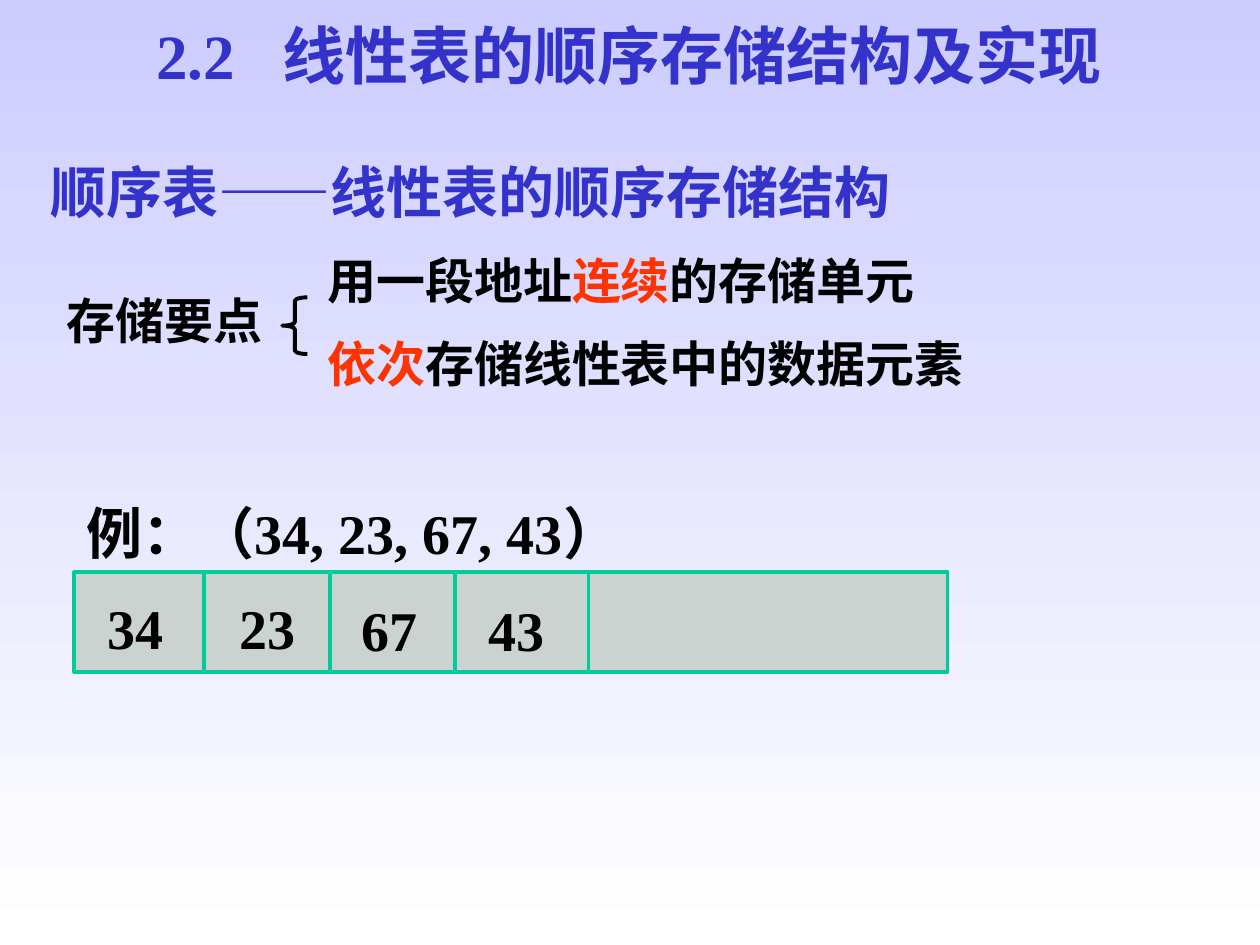
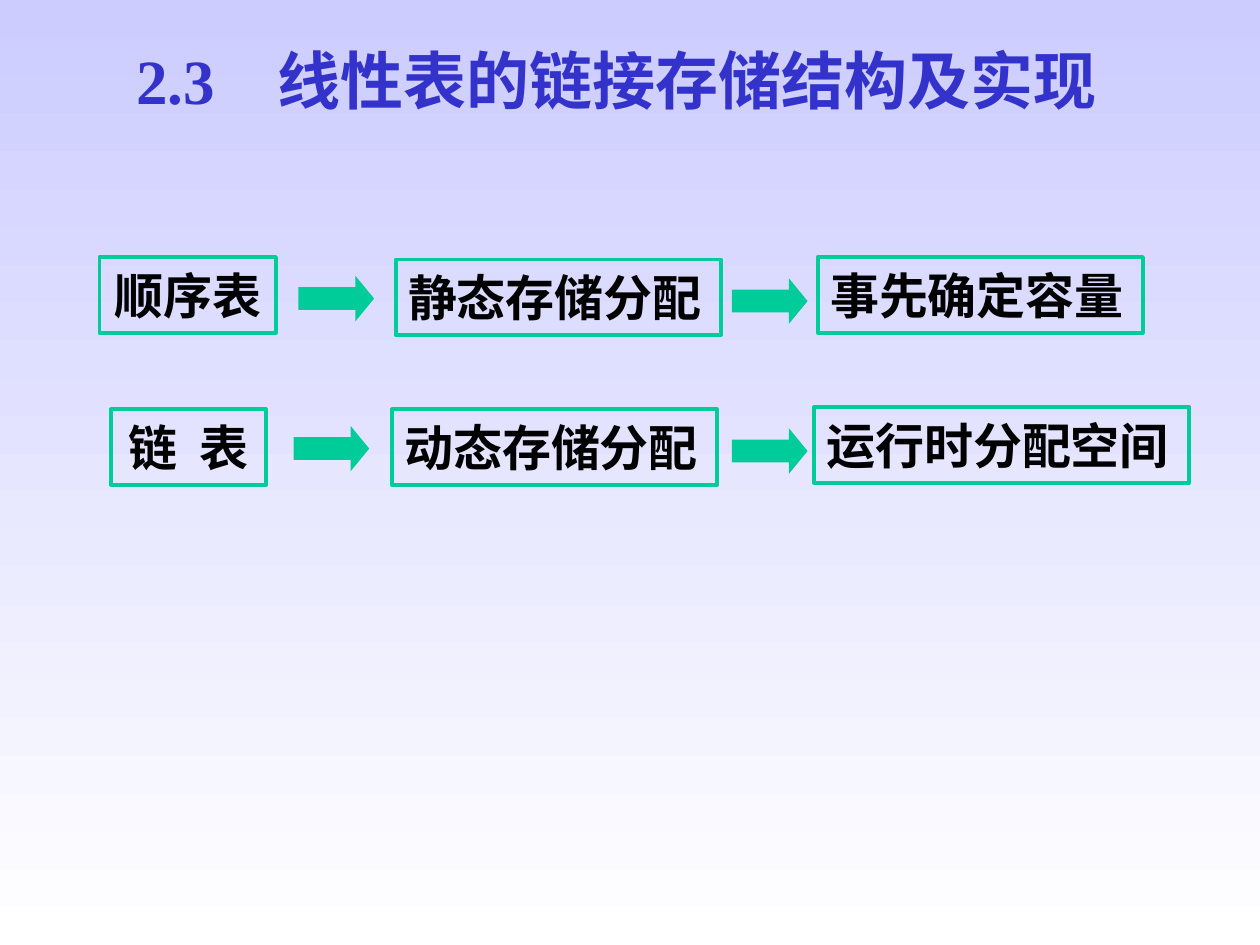
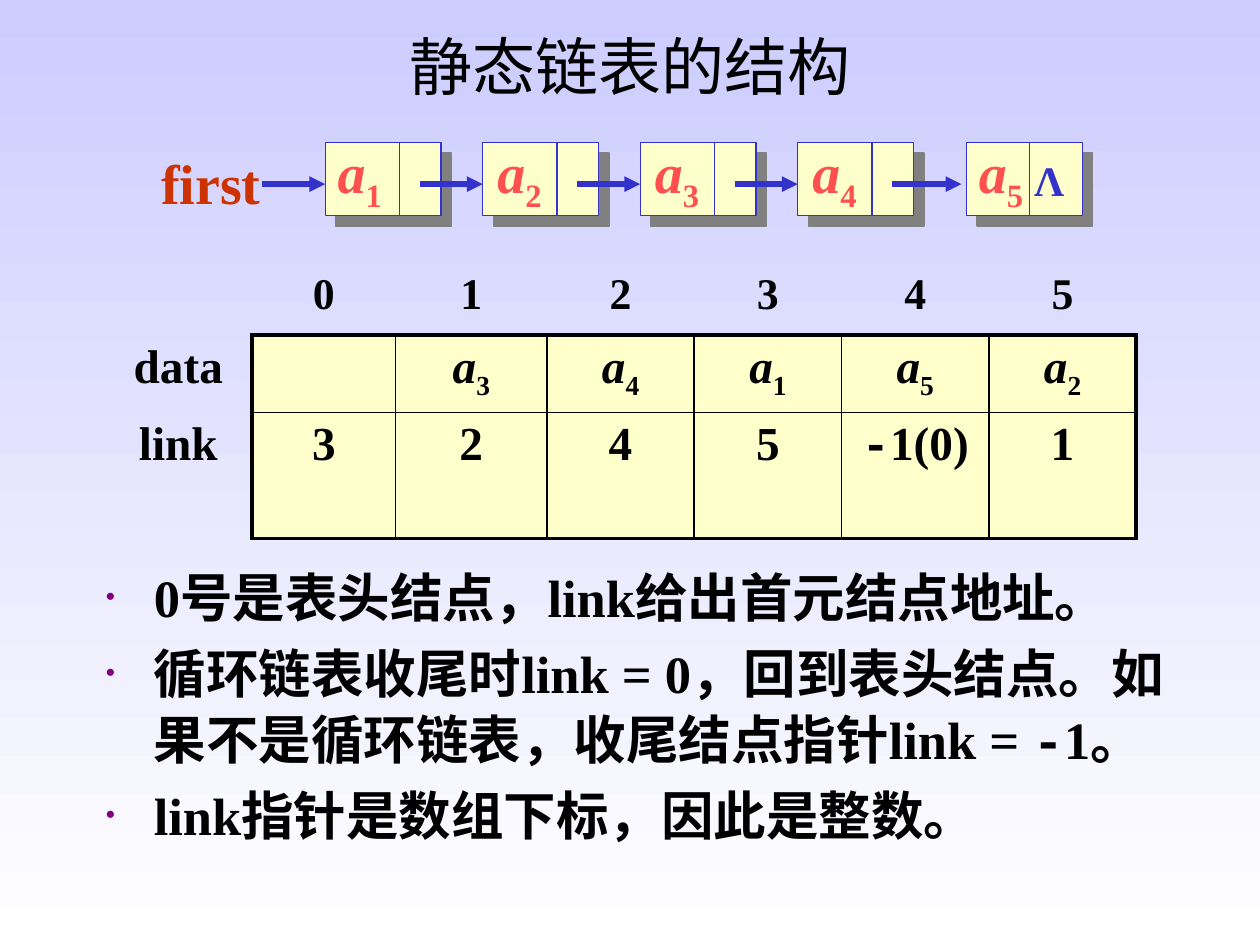
from collections import namedtuple

from lxml.etree import SubElement
from pptx import Presentation
from pptx.dml.color import RGBColor
from pptx.enum.shapes import MSO_CONNECTOR, MSO_SHAPE
from pptx.enum.text import MSO_ANCHOR, MSO_AUTO_SIZE, PP_ALIGN
from pptx.oxml.ns import qn
from pptx.util import Pt

LAVENDER = RGBColor(0xCC, 0xCC, 0xFF)
WHITE = RGBColor(0xFF, 0xFF, 0xFF)
BLACK = RGBColor(0, 0, 0)
BLUE = RGBColor(0x33, 0x33, 0xCC)
GREEN = RGBColor(0x00, 0xCC, 0x99)
GRAY = RGBColor(0xCB, 0xD3, 0xD1)
SHADOW_GRAY = RGBColor(0x80, 0x80, 0x80)
CREAM = RGBColor(0xFF, 0xFF, 0xCC)
ORANGE = RGBColor(0xFF, 0x33, 0x00)
BRICK = RGBColor(0xCC, 0x33, 0x00)
CORAL = RGBColor(0xFF, 0x50, 0x50)
PURPLE = RGBColor(0x80, 0x00, 0x80)

SERIF, SANS, CHINESE, MONO = "Times New Roman", "Arial", "Noto Sans CJK SC", "Courier New"
HEADING = {"name": SERIF, "size": Pt(36), "bold": True, "color": BLUE}
LARGE = {"name": SERIF, "size": Pt(32), "bold": True, "color": BLACK}
POINT = {"name": SANS, "size": Pt(28), "bold": True, "color": BLACK}
INDEX = {"name": SERIF, "size": Pt(25), "bold": True, "color": BLACK}
ENTRY = {**INDEX, "size": Pt(27)}
BULLET = {**INDEX, "size": Pt(30)}
SUBSCRIPT = {"italic": False, "baseline": -25000}

Box = namedtuple("Box", "left top width height")


def place(box):
    return [Pt(length) for length in box]


def add_xml(parent, tag, **attributes):
    return SubElement(parent, qn(tag), {key: str(value) for key, value in attributes.items()})


def write_spans(para, spans, base):
    """Add (text, changes) spans to a paragraph, each formatted as base plus changes."""
    for text, changes in spans:
        span = para.add_run()
        span.text = text
        properties = span._r.get_or_add_rPr()
        for key, value in {**base, **changes}.items():
            if key == "color":
                span.font.color.rgb = value
            elif key in ("baseline", "spc"):
                properties.set(key, str(value))
            else:
                setattr(span.font, key, value)
        add_xml(properties, "a:ea", typeface=CHINESE)


def subscripted(letter, number):
    return [(letter, {"italic": True}), (number, SUBSCRIPT)]


def add_text(page, box, paragraphs, base, wrap=True, gap=0, side_inset=7.2):
    frame = page.shapes.add_textbox(*place(box)).text_frame
    frame.word_wrap = wrap
    frame.margin_left = frame.margin_right = Pt(side_inset)
    for number, spans in enumerate(paragraphs):
        para = frame.add_paragraph() if number else frame.paragraphs[0]
        if number:
            para.space_before = Pt(gap)
        write_spans(para, spans, base)


def add_box(page, preset, box, fill=None, line=None, weight=2.25):
    shape = page.shapes.add_shape(preset, *place(box))
    shape.shadow.inherit = False
    if fill is None:
        shape.fill.background()
    else:
        shape.fill.solid()
        shape.fill.fore_color.rgb = fill
    if line is None:
        shape.line.fill.background()
    else:
        shape.line.color.rgb = line
        shape.line.width = Pt(weight)
    return shape


def add_line(page, start, end, color, weight, arrow=False):
    line = page.shapes.add_connector(MSO_CONNECTOR.STRAIGHT, *place(start + end))
    line.line.color.rgb = color
    line.line.width = Pt(weight)
    properties = line._element.spPr
    if arrow:
        add_xml(properties.find(qn("a:ln")), "a:tailEnd", type="triangle")
    add_xml(properties, "a:effectLst")


def add_title(page, box, text, base=HEADING, align=PP_ALIGN.LEFT, tab=None,
              anchor=MSO_ANCHOR.MIDDLE):
    title = page.shapes.title
    title.left, title.top, title.width, title.height = place(box)
    frame = title.text_frame
    frame.auto_size = MSO_AUTO_SIZE.NONE
    frame.vertical_anchor = anchor
    if anchor == MSO_ANCHOR.TOP:
        frame.margin_top = frame.margin_bottom = 0
    para = frame.paragraphs[0]
    para.alignment = align
    if tab:
        tabs = add_xml(para._p.get_or_add_pPr(), "a:tabLst")
        add_xml(tabs, "a:tab", pos=Pt(tab), algn="l")
    write_spans(para, [(text, {})], base)


def storage_points(page, box):
    left, top = box.left, box.top
    add_text(page, Box(left, top + 23, 135, 41), [[("存储要点", {})]], POINT, wrap=False)
    brace = add_box(page, MSO_SHAPE.LEFT_BRACE, Box(left + 130.3, top + 30.2, 14.4, 32.4),
                    line=BLACK)
    brace.adjustments[0] = 0.14
    add_text(page, Box(left + 149, top, box.width - 149, box.height), [
        [("用一段地址", {}), ("连续", {"color": ORANGE}), ("的存储单元", {})],
        [("依次", {"color": ORANGE}), ("存储线性表中的数据元素", {})],
    ], POINT, gap=14)


def storage_bar(page, box):
    add_box(page, MSO_SHAPE.RECTANGLE, box, GRAY, GREEN)
    for offset in (74.2, 146.2, 217.4, 293.8):
        x = box.left + offset
        add_line(page, (x, box.top), (x, box.top + box.height), GREEN, 2.25)
    for value, x, y in (("34", 18.7, 8.6), ("23", 94.3, 8.6), ("67", 164.1, 10), ("43", 236.9, 10)):
        add_text(page, Box(box.left + x, box.top + y, 38, 45.4), [[(value, {})]], LARGE,
                 side_inset=0)


def sequential_page(page):
    add_title(page, Box(82.1, 9.4, 588.2, 43.2), "2.2\t线性表的顺序存储结构及实现",
              tab=72.4, anchor=MSO_ANCHOR.TOP)
    add_text(page, Box(21.6, 86.4, 594, 45.4), [[
        ("顺序表", {}), ("——", {"name": SERIF}), ("线性表的顺序存储结构", {}),
    ]], {**HEADING, "name": CHINESE, "size": Pt(32)})
    storage_points(page, Box(31, 139.7, 639.3, 88.6))
    add_text(page, Box(42.5, 281.5, 388.8, 45.4), [[("例：（34, 23, 67, 43）", {})]], LARGE)
    storage_bar(page, Box(42.5, 326.9, 499, 56.9))


def allocation_row(page, box, steps, arrows):
    """Draw framed steps (offset, drop, width, spans) and the block arrows between them."""
    for number, (offset, drop, width, spans) in enumerate(steps):
        step = add_box(page, MSO_SHAPE.RECTANGLE,
                       Box(box.left + offset, box.top + drop, width, box.height), line=GREEN)
        frame = step.text_frame
        frame.word_wrap = number > 0
        frame.vertical_anchor = MSO_ANCHOR.MIDDLE
        para = frame.paragraphs[0]
        para.alignment = PP_ALIGN.LEFT if number else PP_ALIGN.CENTER
        write_spans(para, spans, {**POINT, "name": CHINESE if number else SANS})
    for offset, drop in arrows:
        arrow = add_box(page, MSO_SHAPE.RIGHT_ARROW,
                        Box(box.left + offset, box.top + drop, 43.2, 25.9), GREEN)
        arrow.adjustments[1] = 0.41


def linked_page(page):
    add_title(page, Box(70.6, 20.2, 570.2, 50.4), "2.3\t线性表的链接存储结构及实现", tab=81)
    allocation_row(page, Box(56.9, 146.9, 596.2, 43.2), [
        (0, 0, 100.8, [("顺序表", {})]),
        (169.2, 1.4, 185.8, [("静态存储分配", {})]),
        (410.4, 0, 185.8, [("事先确定容量", {})]),
    ], [(113.7, 10.8), (361.4, 12.2)])
    allocation_row(page, Box(63.4, 232.6, 616.3, 43.2), [
        (0, 1.4, 88.6, [("链", {}), (" ", {"spc": 600}), ("表", {})]),
        (160.5, 1.4, 185.8, [("动态存储分配", {})]),
        (401.7, 0, 214.6, [("运行时分配空间", {})]),
    ], [(104.4, 10.8), (354.9, 12.2)])


def add_node(page, box, divider):
    node = add_box(page, MSO_SHAPE.RECTANGLE, box, CREAM, BLUE, 0.75)
    shadow = add_xml(node._element.spPr.find(qn("a:effectLst")), "a:outerShdw",
                     dist=Pt(8.5), dir=45 * 60000, algn="ctr", rotWithShape=0)
    add_xml(shadow, "a:srgbClr", val=SHADOW_GRAY)
    x = box.left + divider
    add_line(page, (x, box.top), (x, box.top + box.height), BLUE, 0.75)


def node_chain(page, box):
    pitch, node_width, last = 90, 66.2, 4
    arrow_y = box.top + 23.8
    for number in range(last + 1):
        is_last = number == last
        left = box.left + (box.width - node_width if is_last else number * pitch)
        add_node(page, Box(left, box.top, node_width, box.height), 36 if is_last else 42.5)
        arrow_start = box.left + number * pitch - 36
        arrow_end = left - 2.9 if is_last else left
        add_line(page, (arrow_start, arrow_y), (arrow_end, arrow_y), BLUE, 3, arrow=True)
        add_text(page, Box(left + (0 if number in (0, last) else 1.4), box.top - 6.5, 41, 45.4),
                 [subscripted("a", str(number + 1))], {**LARGE, "color": CORAL}, wrap=False)
    add_text(page, Box(box.left + 398.1, box.top + 3.6, 38.9, 36), [[("Λ", {})]],
             {**HEADING, "size": Pt(24)}, wrap=False)
    add_text(page, Box(box.left - 100.8, box.top, 71.3, 45.4), [[("first", {})]],
             {**LARGE, "color": BRICK}, wrap=False)


def border_cell(cell, row, column, rows, columns):
    """Thin lines between data cells, thick around them, none elsewhere."""
    def is_data(r, c):
        return 0 < r < rows and 0 < c < columns

    properties = cell._tc.get_or_add_tcPr()
    for side, down, right in (("L", 0, -1), ("R", 0, 1), ("T", -1, 0), ("B", 1, 0)):
        data_sides = is_data(row, column) + is_data(row + down, column + right)
        weight = (0, 2.25, 1)[data_sides]
        line = add_xml(properties, f"a:ln{side}", w=Pt(weight))
        if weight:
            add_xml(add_xml(line, "a:solidFill"), "a:srgbClr", val=BLACK)
        else:
            add_xml(line, "a:noFill")


def array_table(page, box):
    entries = [
        [[]] + [[(str(number), {})] for number in range(6)],
        [[("data", {})], []] + [subscripted("a", number) for number in "34152"],
        [[(text, {})] for text in ("link", "3", "2", "4", "5")]
        + [[("-", {"name": MONO}), ("1(0)", {})], [("1", {})]],
    ]
    rows, columns = len(entries), len(entries[0])
    table = page.shapes.add_table(rows, columns, *place(box)).table
    table.first_row = table.horz_banding = False
    for column, width in zip(table.columns, [84.2, 82.1, 86.4] + [84.2] * 4):
        column.width = Pt(width)
    for row, height in zip(table.rows, (40.3, 40.3, 72)):
        row.height = Pt(height)
    for r, row_entries in enumerate(entries):
        for c, spans in enumerate(row_entries):
            cell = table.cell(r, c)
            border_cell(cell, r, c, rows, columns)
            if r and c:
                cell.fill.solid()
                cell.fill.fore_color.rgb = CREAM
            else:
                cell.fill.background()
            para = cell.text_frame.paragraphs[0]
            para.alignment = PP_ALIGN.CENTER
            write_spans(para, spans, ENTRY if r else INDEX)


def bullet_list(page, box, items):
    body = page.placeholders[1]
    body.left, body.top, body.width, body.height = place(box)
    frame = body.text_frame
    frame.auto_size = MSO_AUTO_SIZE.NONE
    for number, spans in enumerate(items):
        para = frame.add_paragraph() if number else frame.paragraphs[0]
        para.line_spacing = 1.05
        para.space_before = Pt(5.5 if number else 0)
        properties = para._p.get_or_add_pPr()
        properties.set("marL", str(Pt(27.4)))
        properties.set("indent", str(-Pt(27.4)))
        add_xml(add_xml(properties, "a:buClr"), "a:srgbClr", val=PURPLE)
        add_xml(properties, "a:buSzPct", val=50000)
        add_xml(properties, "a:buChar", char="•")
        write_spans(para, spans, BULLET)


def static_list_page(page):
    add_title(page, Box(54, 3.6, 612, 67.7), "静态链表的结构",
              {**HEADING, "bold": False, "color": BLACK}, PP_ALIGN.CENTER)
    bullet_list(page, Box(53.3, 317.5, 648, 184.3), [
        [("0号是表头结点，link给出首元结点地址。", {})],
        [("循环链表收尾时link = 0，回到表头结点。如果不是循环链表，收尾结点指针link = ", {}),
         ("-", {"name": MONO}), ("1。", {})],
        [("link指针是数组下标，因此是整数。", {})],
    ])
    node_chain(page, Box(185.8, 81.4, 432.7, 41.8))
    array_table(page, Box(59.8, 151.2, 589.5, 152.6))


def paint_background(master):
    fill = master.background.fill
    fill.gradient()
    fill.gradient_angle = 270
    for stop, color in zip(fill.gradient_stops, (LAVENDER, WHITE)):
        stop.color.rgb = color


def main():
    deck = Presentation()
    deck.slide_width, deck.slide_height = Pt(720), Pt(540)
    paint_background(deck.slide_master)
    title_and_content, title_only = deck.slide_layouts[1], deck.slide_layouts[5]
    for layout, fill_page in ((title_only, sequential_page), (title_only, linked_page),
                              (title_and_content, static_list_page)):
        fill_page(deck.slides.add_slide(layout))
    deck.save("out.pptx")


if __name__ == "__main__":
    main()
